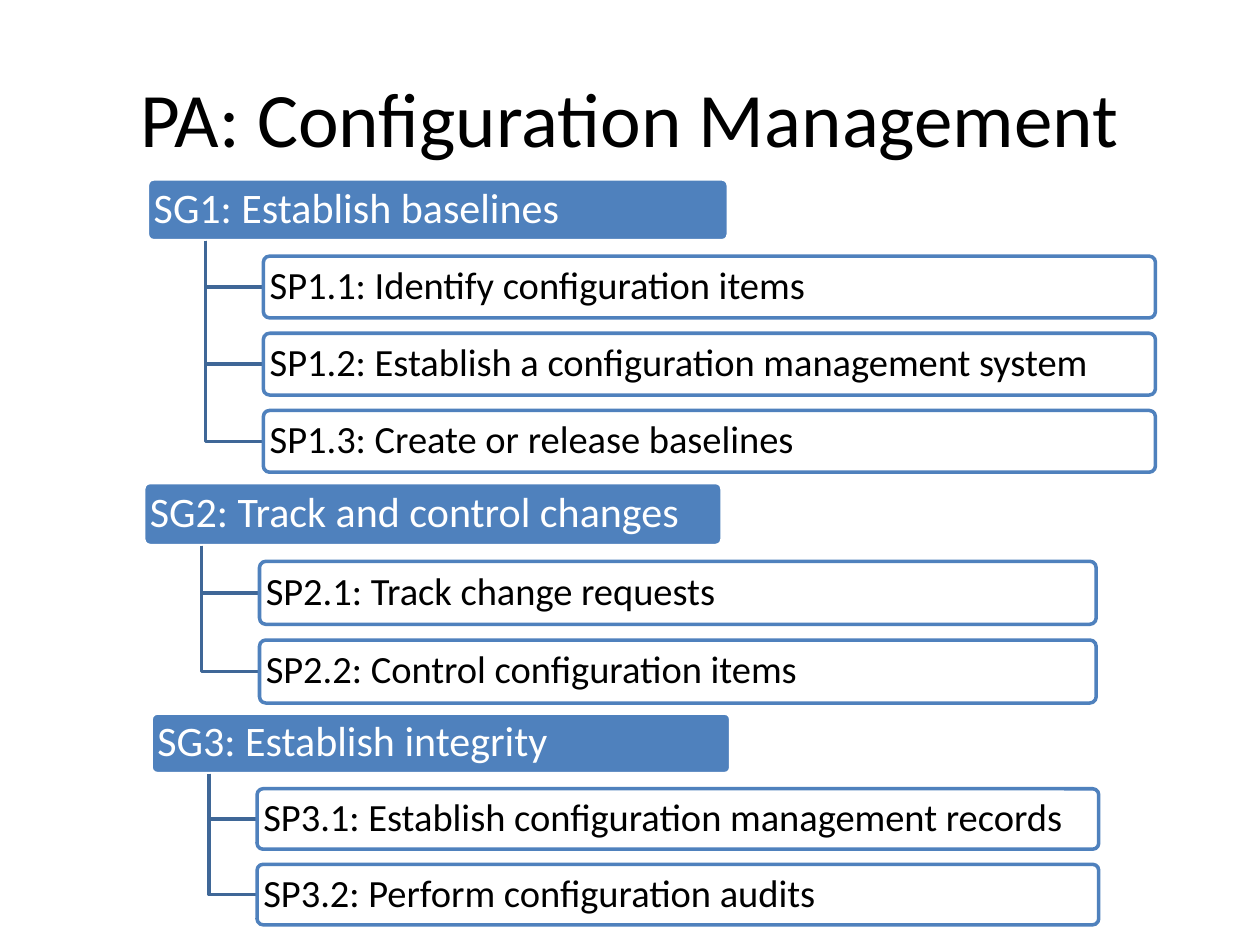
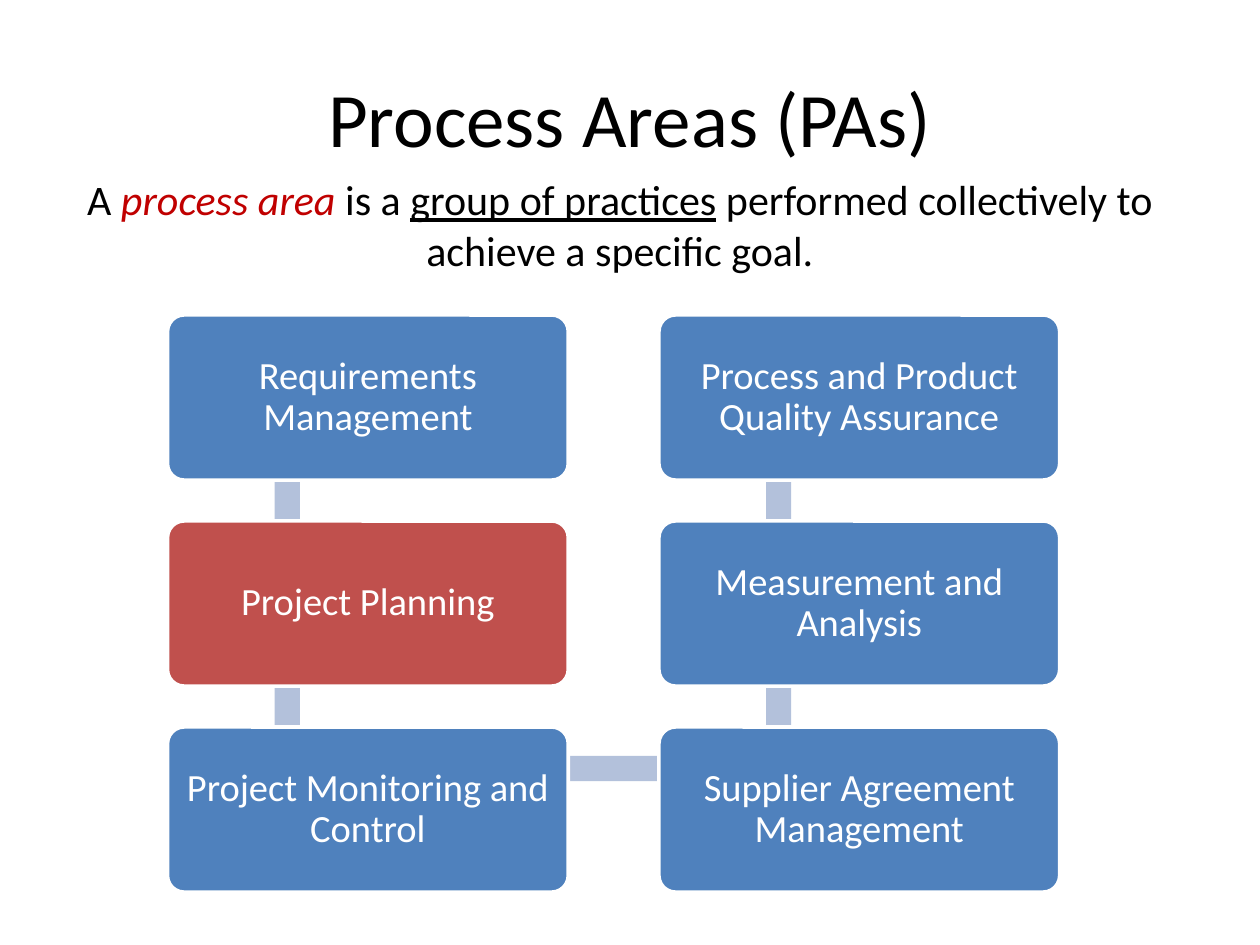
import lxml.etree
import pptx
import pptx.dml.color
import pptx.enum.shapes
import pptx.enum.text
import pptx.oxml.ns
import pptx.util

SHAPES = pptx.enum.shapes.MSO_SHAPE
ALIGN = pptx.enum.text.PP_ALIGN
MIDDLE = pptx.enum.text.MSO_ANCHOR.MIDDLE

SLIDE_WIDTH = pptx.util.Inches(10)
SLIDE_HEIGHT = pptx.util.Inches(7.5)
COLUMNS, ROWS = 100, 75

BLUE, RED, WHITE, BLACK = "4F81BD", "C0504D", "FFFFFF", "000000"
BRANCH, LINK, KEY_TERM = "3F6797", "B3C1DB", "C00000"
CORNER = 0.1
CORNER_INSET = 0.29 * CORNER
BORDER = pptx.util.Pt(2)

TITLE_FONT = {"name": "Calibri", "size": pptx.util.Pt(44)}
LEAD_FONT = {"name": "Calibri", "size": pptx.util.Pt(24)}
ITEM_FONT = {"name": "Calibri", "size": pptx.util.Pt(22)}

GOALS = [
    {"title": "SG1: Establish baselines", "left": 11.7, "top": 14.2,
     "width": 46.1, "height": 4.9, "indent": 9.2, "practice_width": 70.8,
     "practices": ["SP1.1: Identify configuration items",
                   "SP1.2: Establish a configuration management system",
                   "SP1.3: Create or release baselines"]},
    {"title": "SG2: Track and control changes", "left": 11.4, "top": 38.3,
     "width": 45.9, "height": 5, "indent": 9.2, "practice_width": 66.4,
     "practices": ["SP2.1: Track change requests",
                   "SP2.2: Control configuration items"]},
    {"title": "SG3: Establish integrity", "left": 12, "top": 56.6,
     "width": 46, "height": 4.8, "indent": 8.4, "practice_width": 66.8,
     "practices": ["SP3.1: Establish configuration management records",
                   "SP3.2: Perform configuration audits"]},
]
PRACTICE_PITCH = 1.25
TRUNK_OFFSET = 4.6

DEFINITION = [
    ("A ", BLACK, {}),
    ("process area", KEY_TERM, {"italic": True}),
    (" is a ", BLACK, {}),
    ("group of practices", BLACK, {"underline": True}),
    (" performed collectively to achieve a specific goal.", BLACK, {}),
]
AREAS = [
    ("Requirements Management", 0, 0),
    ("Project Planning", 0, 1),
    ("Project Monitoring and Control", 0, 2),
    ("Supplier Agreement Management", 1, 2),
    ("Measurement and Analysis", 1, 1),
    ("Process and Product Quality Assurance", 1, 0),
]
HIGHLIGHTED_AREA = "Project Planning"
AREA_WIDTH, AREA_HEIGHT = 31.8, 13.1
LINK_THICKNESS = 2


def across(columns):
    return round(SLIDE_WIDTH * columns / COLUMNS)


def down(rows):
    return round(SLIDE_HEIGHT * rows / ROWS)


def area(left, top, width, height):
    return across(left), down(top), across(width), down(height)


def rgb(hex_colour):
    return pptx.dml.color.RGBColor.from_string(hex_colour)


def apply_format(target, values):
    for name, value in values.items():
        setattr(target, name, value)


def write(paragraph, text, font, colour, extra=None):
    run = paragraph.add_run()
    run.text = text
    apply_format(run.font, {**font, **(extra or {})})
    run.font.color.rgb = rgb(colour)


def outline(shape, colour):
    shape.shadow.inherit = False
    shape.line.color.rgb = rgb(colour)
    shape.line.width = BORDER


def add_titled_slide(deck, title):
    slide = deck.slides.add_slide(deck.slide_layouts[5])
    paragraph = slide.shapes.title.text_frame.paragraphs[0]
    paragraph.alignment = ALIGN.CENTER
    write(paragraph, title, TITLE_FONT, BLACK)
    return slide


def add_card(slide, box, text, font, fill, border, colour, align, inset):
    card = slide.shapes.add_shape(SHAPES.ROUNDED_RECTANGLE, *area(*box))
    card.adjustments[0] = CORNER
    card.fill.solid()
    card.fill.fore_color.rgb = rgb(fill)
    outline(card, border)
    side, edge = (max(0, across(gap - CORNER_INSET * box[3])) for gap in inset)
    frame = card.text_frame
    apply_format(frame, {"word_wrap": True, "vertical_anchor": MIDDLE,
                         "margin_left": side, "margin_right": side,
                         "margin_top": edge, "margin_bottom": edge})
    paragraph = frame.paragraphs[0]
    apply_format(paragraph, {"alignment": align, "line_spacing": 0.9})
    write(paragraph, text, font, colour)
    return card


def make_translucent(shape, percent):
    colour = shape.element.spPr.find(pptx.oxml.ns.qn("a:solidFill"))[0]
    alpha = lxml.etree.SubElement(colour, pptx.oxml.ns.qn("a:alpha"))
    alpha.set("val", str(percent * 1000))


def add_branch(slide, trunk, top, end, level):
    builder = slide.shapes.build_freeform(across(trunk), down(top))
    builder.add_line_segments([(across(trunk), down(level)),
                               (across(end), down(level))], close=False)
    branch = builder.convert_to_shape()
    branch.fill.background()
    outline(branch, BRANCH)


def add_goal(slide, goal):
    left, top, height = goal["left"], goal["top"], goal["height"]
    add_card(slide, (left, top, goal["width"], height), goal["title"],
             LEAD_FONT, BLUE, WHITE, WHITE, ALIGN.LEFT, (0.5, 0.3))
    practice_left = left + goal["indent"]
    for number, practice in enumerate(goal["practices"], start=1):
        practice_top = top + number * PRACTICE_PITCH * height
        add_branch(slide, left + TRUNK_OFFSET, top + height,
                   practice_left, practice_top + height / 2)
        card = add_card(
            slide, (practice_left, practice_top, goal["practice_width"], height),
            practice, ITEM_FONT, WHITE, BLUE, BLACK, ALIGN.LEFT, (0.5, 0.3))
        make_translucent(card, 90)


def add_definition(slide):
    frame = slide.shapes.add_textbox(*area(4.2, 13.3, 90, 9.1)).text_frame
    frame.word_wrap = True
    paragraph = frame.paragraphs[0]
    paragraph.alignment = ALIGN.CENTER
    for text, colour, emphasis in DEFINITION:
        write(paragraph, text, LEAD_FONT, colour, emphasis)


def area_corner(column, row):
    return 13.3 + 39 * column, 25 + 16.35 * row


def add_link(slide, start, end):
    (start_x, start_y), (end_x, end_y) = start, end
    half = LINK_THICKNESS / 2
    if start_x == end_x:
        box = (start_x - half, min(start_y, end_y),
               LINK_THICKNESS, abs(end_y - start_y))
    else:
        box = (start_x, start_y - half, end_x - start_x, LINK_THICKNESS)
    link = slide.shapes.add_shape(SHAPES.RECTANGLE, *area(*box))
    link.shadow.inherit = False
    link.fill.solid()
    link.fill.fore_color.rgb = rgb(LINK)
    link.line.fill.background()


def add_area_chain(slide):
    corners = [area_corner(column, row) for _, column, row in AREAS]
    joints = [(left + 9.5, top + 3.3) for left, top in corners]
    for start, end in zip(joints, joints[1:]):
        add_link(slide, start, end)
    for (name, _, _), corner in zip(AREAS, corners):
        fill = RED if name == HIGHLIGHTED_AREA else BLUE
        add_card(slide, (*corner, AREA_WIDTH, AREA_HEIGHT), name, ITEM_FONT,
                 fill, WHITE, WHITE, ALIGN.CENTER, (0.9, 0.9))


def main():
    deck = pptx.Presentation()
    apply_format(deck, {"slide_width": SLIDE_WIDTH, "slide_height": SLIDE_HEIGHT})

    configuration = add_titled_slide(deck, "PA: Configuration Management")
    for goal in GOALS:
        add_goal(configuration, goal)

    process_areas = add_titled_slide(deck, "Process Areas (PAs)")
    add_definition(process_areas)
    add_area_chain(process_areas)

    deck.save("out.pptx")


if __name__ == "__main__":
    main()
